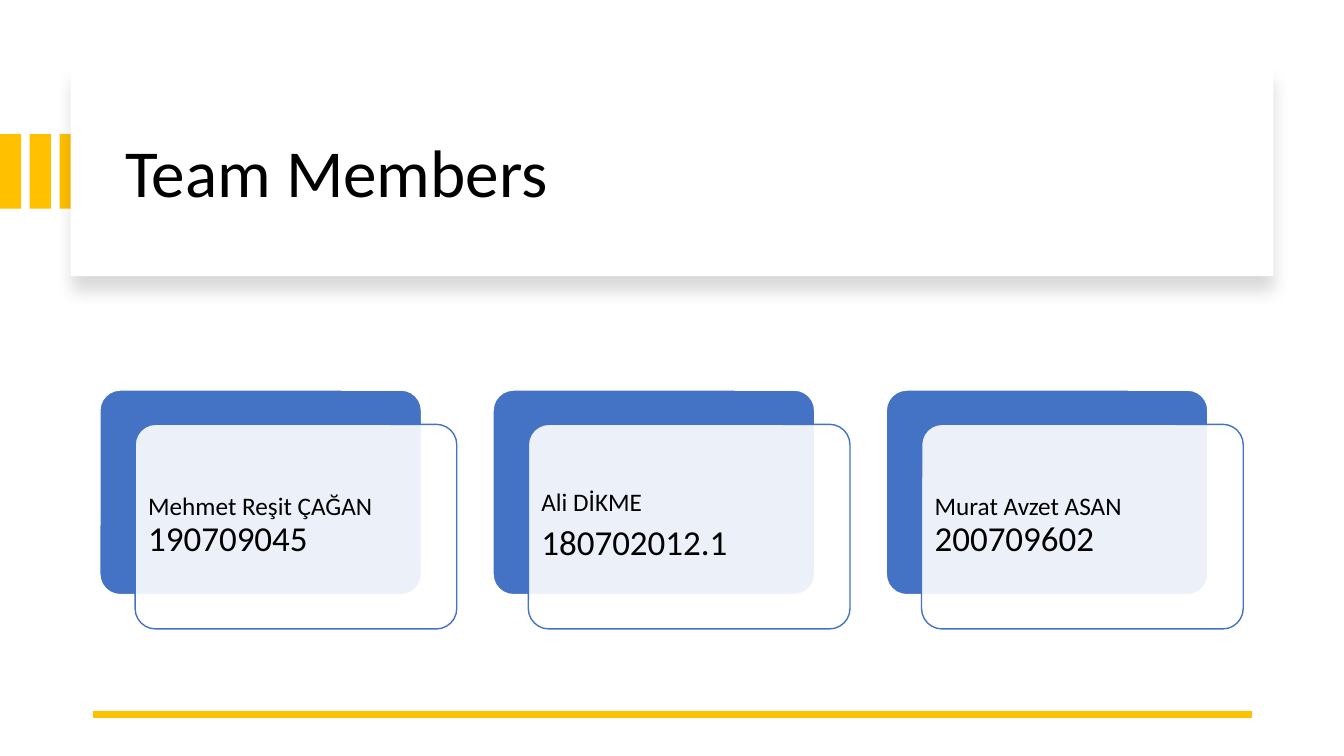
from pptx import Presentation
from pptx.dml.color import RGBColor
from pptx.enum.shapes import MSO_CONNECTOR as CONN, MSO_SHAPE as SHAPE
from pptx.enum.text import MSO_ANCHOR as ANCHOR, PP_ALIGN as ALIGN
from pptx.oxml.ns import qn
from pptx.util import Inches, Pt
from lxml.etree import SubElement

GOLD, BLUE, WHITE, BLACK = "FFC000", "4472C4", "FFFFFF", "000000"


def rgb(value):
    return RGBColor.from_string(value)


def add_box(parent, kind, box, fill, line=None):
    sp = parent.shapes.add_shape(kind, *map(Inches, box))
    sp.shadow.inherit = False
    sp.fill.solid()
    sp.fill.fore_color.rgb = rgb(fill)
    if line:
        sp.line.color.rgb = rgb(line)
        sp.line.width = Pt(1)
    else:
        sp.line.fill.background()
    if kind == SHAPE.ROUNDED_RECTANGLE:
        sp.adjustments[0] = 0.1
    return sp


prs = Presentation()
prs.slide_width, prs.slide_height = Inches(13.33), Inches(7.5)
slide = prs.slides.add_slide(prs.slide_layouts[5])

# Gold bars at the left edge
bars = slide.shapes.add_group_shape()
for i in range(3):
    add_box(bars, SHAPE.RECTANGLE, (0.295 * i, 1.33, 0.21, 0.74), GOLD)

# Title card with a soft shadow below it
card = add_box(slide, SHAPE.RECTANGLE, (0.7, 0.67, 11.93, 2.07), WHITE)
effects = card._element.spPr.find(qn("a:effectLst"))
shadow = SubElement(effects, qn("a:outerShdw"), blurRad=str(Pt(11)),
                    dist=str(Pt(10)), dir=str(90 * 60000), algn="t", rotWithShape="0")
color = SubElement(shadow, qn("a:srgbClr"), val=BLACK)
SubElement(color, qn("a:alpha"), val="15000")

# Title, brought in front of its card
title = slide.shapes.title
slide.shapes._spTree.append(title._element)
title.left, title.top, title.width, title.height = map(Inches, (1.14, 0.89, 11.13, 1.7))
tf = title.text_frame
tf.text = "Team Members"
tf.vertical_anchor = ANCHOR.MIDDLE
p = tf.paragraphs[0]
p.alignment, p.line_spacing = ALIGN.LEFT, 0.9
font = p.runs[0].font
font.name, font.size, font.color.rgb = "Calibri", Pt(48), rgb(BLACK)

# Gold rule at the bottom
rule = slide.shapes.add_connector(CONN.STRAIGHT, Inches(12.42), Inches(7.09),
                                  Inches(0.92), Inches(7.09))
rule.line.color.rgb = rgb(GOLD)
rule.line.width = Pt(4.5)
SubElement(rule._element.spPr, qn("a:effectLst"))

# Member cards: each member is a list of paragraphs, each a list of (text, size)
members = [
    [[("Mehmet Reşit ÇAĞAN ", 18), ("190709045", 25)]],
    [[("Ali DİKME", 18)], [("180702012.1", 25)]],
    [[("Murat Avzet ASAN ", 18), ("200709602", 25)]],
]
CARD_W, CARD_H, PITCH, TOP = 3.19, 2.03, 3.9, 3.87
FRAME = {"word_wrap": True, "vertical_anchor": ANCHOR.MIDDLE,
         "margin_left": Inches(0.07), "margin_right": Inches(0.07),
         "margin_top": Inches(0.07), "margin_bottom": Inches(0.07)}
PARAGRAPH = {"alignment": ALIGN.LEFT, "line_spacing": 0.9, "space_after": Pt(6)}

group = slide.shapes.add_group_shape()
for i, paragraphs in enumerate(members):
    left = 0.99 + PITCH * i
    add_box(group, SHAPE.ROUNDED_RECTANGLE, (left, TOP, CARD_W, CARD_H), BLUE, WHITE)
    front = add_box(group, SHAPE.ROUNDED_RECTANGLE,
                    (left + 0.35, TOP + 0.34, CARD_W, CARD_H), WHITE, BLUE)
    tint = front._element.spPr.find(qn("a:solidFill"))[0]
    SubElement(tint, qn("a:alpha"), val="90000")

    label = group.shapes.add_textbox(*map(Inches, (left + 0.41, TOP + 0.4, 3.07, 1.91)))
    tf = label.text_frame
    for name, value in FRAME.items():
        setattr(tf, name, value)
    for j, runs in enumerate(paragraphs):
        p = tf.add_paragraph() if j else tf.paragraphs[0]
        for name, value in PARAGRAPH.items():
            setattr(p, name, value)
        for text, size in runs:
            r = p.add_run()
            r.text = text
            r.font.name, r.font.size, r.font.color.rgb = "Calibri", Pt(size), rgb(BLACK)

prs.save("out.pptx")
